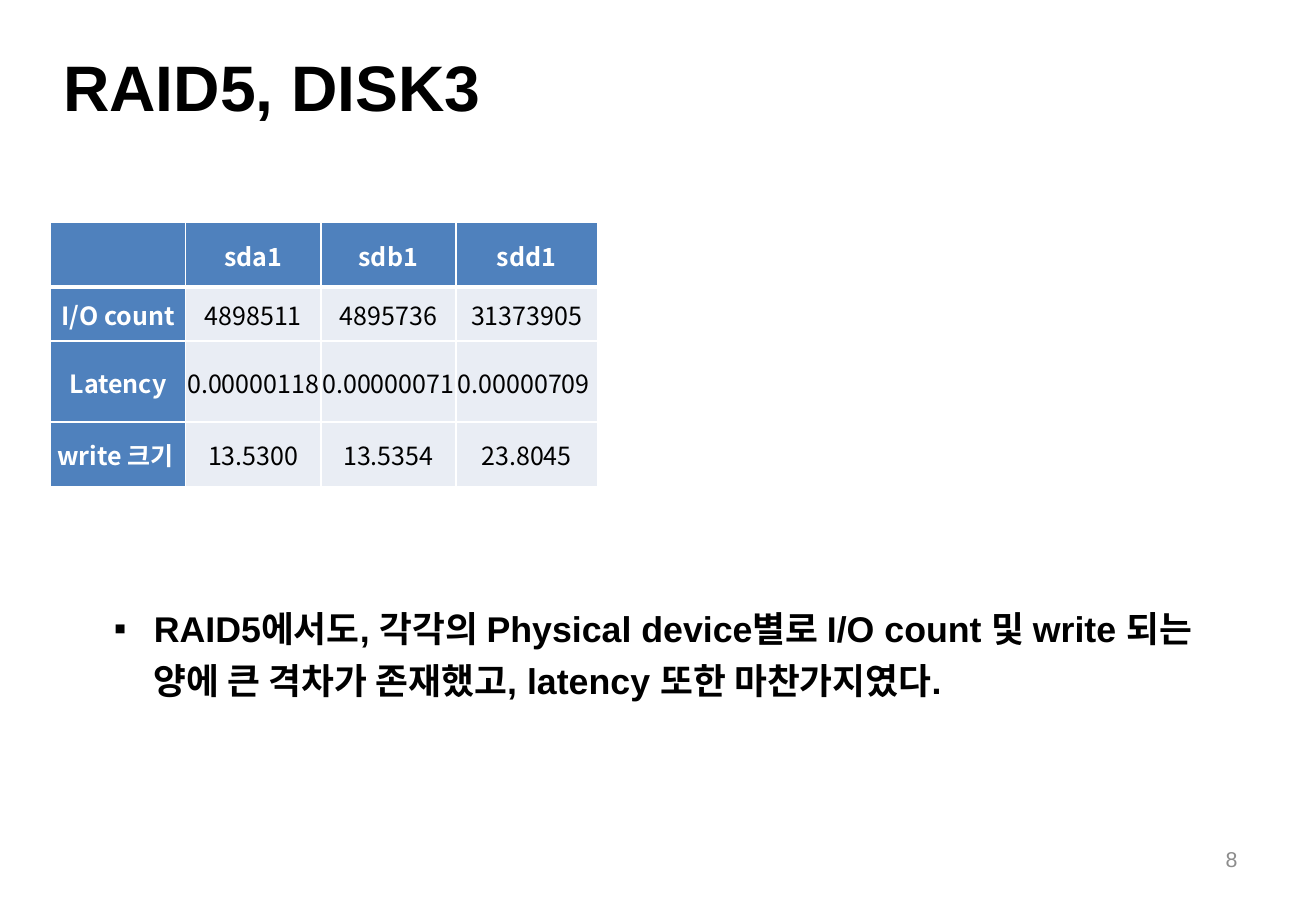
from pptx import Presentation
from pptx.dml.color import RGBColor
from pptx.enum.text import MSO_ANCHOR, PP_ALIGN
from pptx.oxml.ns import qn
from pptx.util import Cm, Pt
from lxml import etree

LEFT, CENTER, RIGHT = PP_ALIGN.LEFT, PP_ALIGN.CENTER, PP_ALIGN.RIGHT
TOP, MIDDLE = MSO_ANCHOR.TOP, MSO_ANCHOR.MIDDLE
BLACK = RGBColor(0x00, 0x00, 0x00)
WHITE = RGBColor(0xFF, 0xFF, 0xFF)
GRAY = RGBColor(0x8C, 0x8C, 0x8C)
BLUE = RGBColor(0x4F, 0x81, 0xBD)
PALE = RGBColor(0xE9, 0xED, 0xF4)
LATIN, KOREAN = "Arial", "Noto Sans CJK KR"


def write(tf, text, size=14, font=LATIN, color=BLACK, bold=False, align=LEFT):
    """Write one formatted paragraph into a text frame and return it."""
    p = tf.paragraphs[0]
    p.alignment = align
    r = p.add_run()
    r.text = text
    r.font.size, r.font.bold, r.font.name = Pt(size), bold, font
    r.font.color.rgb = color
    etree.SubElement(r.font._element, qn("a:ea"), typeface=KOREAN)
    return p


class Deck:
    """Holds the style and the current slide."""

    def __init__(self, width, height):
        self.prs = Presentation()
        self.prs.slide_width, self.prs.slide_height = Cm(width), Cm(height)
        self.s = self.prs.slides.add_slide(self.prs.slide_layouts[6])

    def text(self, box, text, anchor=MIDDLE, **fmt):
        """Add a wrapping text box."""
        tf = self.s.shapes.add_textbox(*map(Cm, box)).text_frame
        tf.word_wrap, tf.vertical_anchor = True, anchor
        return write(tf, text, **fmt)

    def bullet(self, box, text, indent, **fmt):
        """Add a text box with one bulleted paragraph."""
        p = self.text(box, text, anchor=TOP, **fmt)
        p.line_spacing, p.space_before = 1.2, Pt(4)
        pPr = p._p.get_or_add_pPr()
        pPr.set("marL", str(Cm(indent)))
        pPr.set("indent", str(-Cm(indent)))
        etree.SubElement(pPr, qn("a:buFont"), typeface=LATIN)
        etree.SubElement(pPr, qn("a:buChar"), char="▪")

    def borders(self, cell, bottom):
        """Draw white cell borders with the given bottom width."""
        tcPr = cell._tc.get_or_add_tcPr()
        for i, (side, width) in enumerate(zip("LRTB", (1, 1, 1, bottom))):
            ln = etree.Element(qn(f"a:ln{side}"), w=str(Pt(width)))
            fill = etree.SubElement(ln, qn("a:solidFill"))
            etree.SubElement(fill, qn("a:srgbClr"), val=str(WHITE))
            tcPr.insert(i, ln)

    def table(self, left, top, widths, heights, rows):
        """Add a table with a header row and a header column."""
        box = map(Cm, (left, top, sum(widths), sum(heights)))
        table = self.s.shapes.add_table(len(rows), len(widths), *box).table
        for column, width in zip(table.columns, widths):
            column.width = Cm(width)
        for row, height in zip(table.rows, heights):
            row.height = Cm(height)
        for i, row in enumerate(rows):
            for j, text in enumerate(row):
                cell = table.cell(i, j)
                head = i == 0 or j == 0
                cell.margin_left = cell.margin_right = cell.margin_top = Cm(0.02)
                cell.margin_bottom = 0
                cell.vertical_anchor = MIDDLE
                cell.fill.solid()
                cell.fill.fore_color.rgb = BLUE if head else PALE
                self.borders(cell, 3 if i == 0 else 1)
                write(cell.text_frame, text, font=KOREAN, bold=head,
                      color=WHITE if head else BLACK, align=CENTER)


deck = Deck(26.01, 17.8)
deck.text((1, 0.7, 24, 2), "RAID5, DISK3 ", size=36, bold=True)
deck.table(1, 4.4, [2.67, 2.67, 2.67, 2.8], [1.27, 1.07, 1.6, 1.27], [
    ["", "sda1", "sdb1", "sdd1"],
    ["I/O count", "4898511", "4895736", "31373905"],
    ["Latency", "0.00000118 ", "0.00000071 ", "0.00000709 "],
    ["write 크기 ", "13.5300", "13.5354", "23.8045"],
])
deck.text((18.64, 16.5, 6.07, 0.95), "8", size=12, color=GRAY, align=RIGHT)
deck.bullet((2, 11.7, 23, 4.4),
            "RAID5에서도, 각각의 Physical device별로 I/O count 및 write "
            "되는 양에 큰 격차가 존재했고, latency 또한 마찬가지였다. ",
            indent=0.79, size=20, bold=True)
deck.prs.save("out.pptx")
